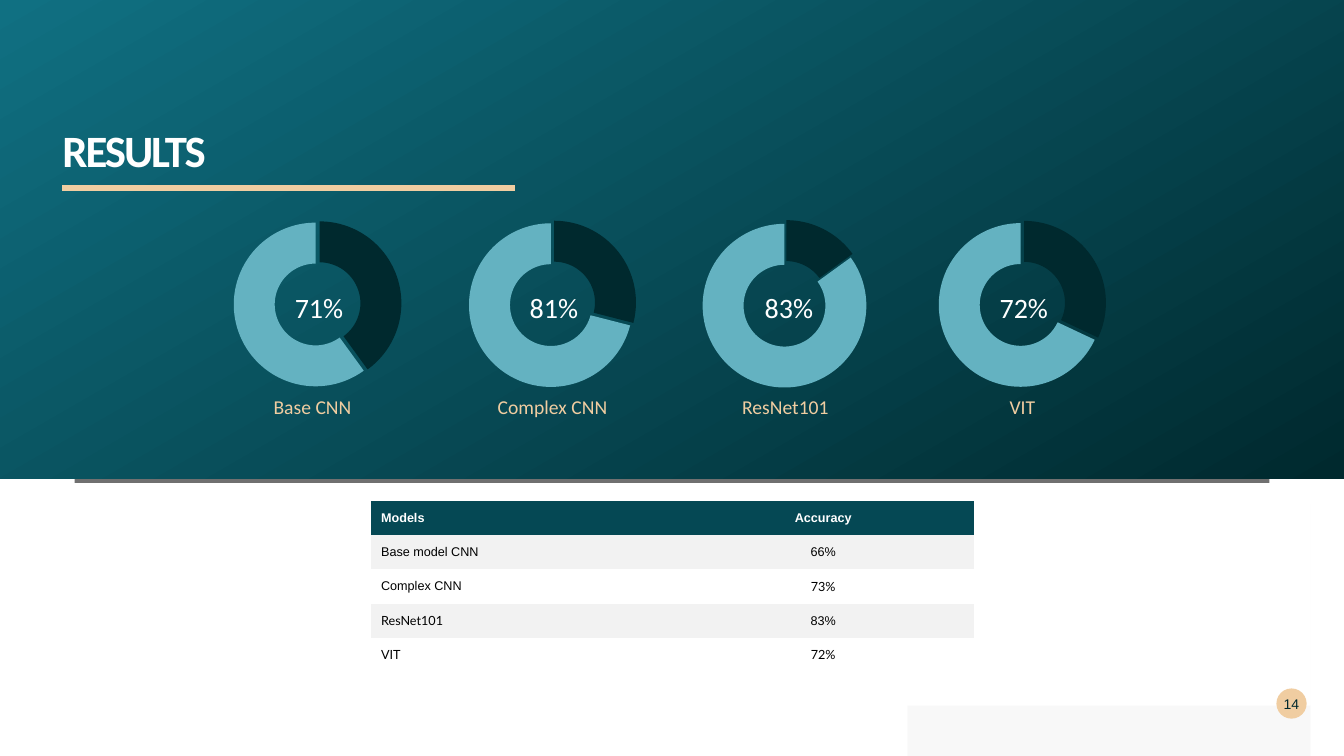
from lxml import etree
from pptx import Presentation
from pptx.chart.data import CategoryChartData
from pptx.dml.color import RGBColor
from pptx.enum.chart import XL_CHART_TYPE as ChartType
from pptx.enum.shapes import MSO_CONNECTOR as Connector, MSO_SHAPE as Shape
from pptx.enum.text import MSO_ANCHOR as Anchor, PP_ALIGN as Align
from pptx.oxml.ns import qn
from pptx.util import Inches, Pt

COLORS = {
    "night": "00292E", "teal": "107082", "sky": "64B2C1", "sand": "F0CDA1",
    "header": "054854", "band": "F2F2F2", "white": "FFFFFF", "black": "000000",
    "gray": "808080",
}

TITLE = "RESULTS"
PAGE_NUMBER = "14"

# model, shown accuracy, ring values, chart left, label centre
RINGS = [
    ("Base CNN", "71%", (40, 60), 2.18, 3.10),
    ("Complex CNN", "81%", (29, 71), 4.51, 5.48),
    ("ResNet101", "83%", (15, 85), 6.82, 7.79),
    ("VIT", "72%", (32, 68), 9.17, 10.14),
]
RING_TOP, RING_WIDTH, RING_HEIGHT = 1.83, 1.94, 2.37
BADGE_LEFT, BADGE_TOP, BADGE_SIZE, BADGE_PITCH = 2.75, 2.63, 0.83, 2.33
LABEL_TOP, LABEL_WIDTH, LABEL_HEIGHT = 3.86, 1.6, 0.34

# each cell: text, font
ACCURACY_ROWS = [
    (("Models", "Arial"), ("Accuracy", "Arial")),
    (("Base model CNN", "Arial"), ("66%", "Arial")),
    (("Complex CNN", "Arial"), ("73%", "Lato")),
    (("ResNet101", "Lato"), ("83%", "Arial")),
    (("VIT", "Lato"), ("72%", "Lato")),
]
NO_TABLE_STYLE = "{2D5ABB26-0587-4C30-8999-92F81FD0307C}"

TOP_CORNER = [(9.4, 0), (13.33, 0), (13.33, 4.75), (13.14, 4.75), (13.14, 0.2), (9.4, 0.2)]
BOTTOM_CORNER = [(13.14, 4.75), (13.33, 4.75), (13.33, 7.5), (9.4, 7.5), (9.4, 7.3), (13.14, 7.3)]


def rgb(name):
    return RGBColor.from_string(COLORS[name])


def box(left, top, width, height):
    return [Inches(v) for v in (left, top, width, height)]


def set_alphas(shape, *percents):
    """Give the fill colours of a shape, in order, their opacity."""
    for color, percent in zip(shape._element.spPr.iter(qn("a:srgbClr")), percents):
        etree.SubElement(color, qn("a:alpha"), val=str(percent * 1000))


def fill_plain(shape, color):
    shape.fill.solid()
    shape.fill.fore_color.rgb = rgb(color)


def fill_gradient(shape, start, end, angle):
    shape.fill.gradient()
    shape.fill.gradient_angle = angle
    for stop, color in zip(shape.fill.gradient_stops, (start, end)):
        stop.color.rgb = rgb(color)


def bare(shape):
    """Strip the shadow and the outline."""
    shape.shadow.inherit = False
    shape.line.fill.background()
    return shape


def add_preset(slide, kind, *place):
    return bare(slide.shapes.add_shape(kind, *box(*place)))


def add_outline(slide, points):
    builder = slide.shapes.build_freeform(*points[0], scale=Inches(1))
    builder.add_line_segments(points[1:], close=True)
    return bare(builder.convert_to_shape())


def style(paragraph, text, size, font, color, align=Align.CENTER, bold=False):
    paragraph.text = text
    paragraph.alignment = align
    paragraph.font.size = Pt(size)
    paragraph.font.name = font
    paragraph.font.bold = bold
    paragraph.font.color.rgb = rgb(color)


def write(shape, *text_style, anchor=Anchor.MIDDLE, **options):
    frame = shape.text_frame
    frame.margin_left = frame.margin_right = frame.margin_top = frame.margin_bottom = 0
    frame.word_wrap = True
    frame.vertical_anchor = anchor
    style(frame.paragraphs[0], *text_style, **options)
    return frame.paragraphs[0]


def add_backdrop(slide):
    edge = add_preset(slide, Shape.RECTANGLE, 0.74, 4.74, 11.85, 0.05)
    fill_plain(edge, "black")
    set_alphas(edge, 56)
    panel = add_preset(slide, Shape.RECTANGLE, 0, 0, 13.33, 4.75)
    fill_gradient(panel, "night", "teal", 120)
    top_corner = add_outline(slide, TOP_CORNER)
    fill_gradient(top_corner, "white", "white", 270)
    set_alphas(top_corner, 5, 30)
    bottom_corner = add_outline(slide, BOTTOM_CORNER)
    fill_plain(bottom_corner, "gray")
    set_alphas(bottom_corner, 5)


def add_heading(slide):
    title = slide.shapes.add_textbox(*box(0.62, 1.28, 8.27, 0.4))
    heading = write(title, TITLE, 32, "Calibri", "white",
                    anchor=Anchor.TOP, align=Align.LEFT, bold=True)
    heading.line_spacing = 0.9
    heading.runs[0]._r.get_or_add_rPr().set("spc", "-150")

    underline = slide.shapes.add_connector(
        Connector.STRAIGHT, *[Inches(v) for v in (0.62, 1.87, 5.11, 1.87)])
    underline.line.color.rgb = rgb("sand")
    underline.line.width = Pt(4.32)
    etree.SubElement(underline._element.spPr, qn("a:effectLst"))

    page = add_preset(slide, Shape.OVAL, 12.66, 6.83, 0.3, 0.3)
    fill_plain(page, "sand")
    write(page, PAGE_NUMBER, 10, "Arial", "night")


def add_ring(slide, values, left):
    data = CategoryChartData()
    data.categories = ["1", "2"]
    data.add_series("Series 1", values)
    chart = slide.shapes.add_chart(
        ChartType.DOUGHNUT, *box(left, RING_TOP, RING_WIDTH, RING_HEIGHT), data).chart
    chart.has_legend = chart.has_title = False
    chart.font.size = Pt(10)
    chart.font.name = "Arial"
    chart.font.color.rgb = rgb("black")
    plot = chart.plots[0]
    plot.vary_by_categories = True
    series = plot.series[0]
    for index, color in enumerate(("night", "sky")):
        slice_format = series.points[index].format
        fill_plain(slice_format, color)
        slice_format.line.fill.background()
    explosion = etree.Element(qn("c:explosion"), val="5")
    series._element.find(qn("c:dPt")).addprevious(explosion)
    chart._chartSpace.find(".//" + qn("c:holeSize")).set("val", "60")


def add_rings(slide):
    for index, (model, accuracy, values, left, center) in enumerate(RINGS):
        add_ring(slide, values, left)
        badge = add_preset(slide, Shape.OVAL, BADGE_LEFT + index * BADGE_PITCH,
                           BADGE_TOP, BADGE_SIZE, BADGE_SIZE)
        badge.fill.background()
        write(badge, accuracy, 20, "Calibri", "white")
        label = slide.shapes.add_textbox(
            *box(center - LABEL_WIDTH / 2, LABEL_TOP, LABEL_WIDTH, LABEL_HEIGHT))
        write(label, model, 14, "Calibri", "sand")


def add_accuracy_table(slide):
    row_count = len(ACCURACY_ROWS)
    table = slide.shapes.add_table(row_count, 2, *box(3.68, 4.97, 5.98, 0.34 * row_count)).table
    table._tbl.tblPr.find(qn("a:tableStyleId")).text = NO_TABLE_STYLE
    for r, cells in enumerate(ACCURACY_ROWS):
        header = r == 0
        background = "header" if header else "band" if r % 2 else "white"
        for c, (text, font) in enumerate(cells):
            cell = table.cell(r, c)
            fill_plain(cell, background)
            cell.vertical_anchor = Anchor.MIDDLE
            style(cell.text_frame.paragraphs[0], text, 9, font,
                  "white" if header else "black",
                  align=Align.CENTER if c else Align.LEFT, bold=header)


def main():
    deck = Presentation()
    deck.slide_width, deck.slide_height = Inches(13.33), Inches(7.5)
    slide = deck.slides.add_slide(deck.slide_layouts[6])
    add_backdrop(slide)
    add_heading(slide)
    add_rings(slide)
    add_accuracy_table(slide)
    deck.save("out.pptx")


if __name__ == "__main__":
    main()
